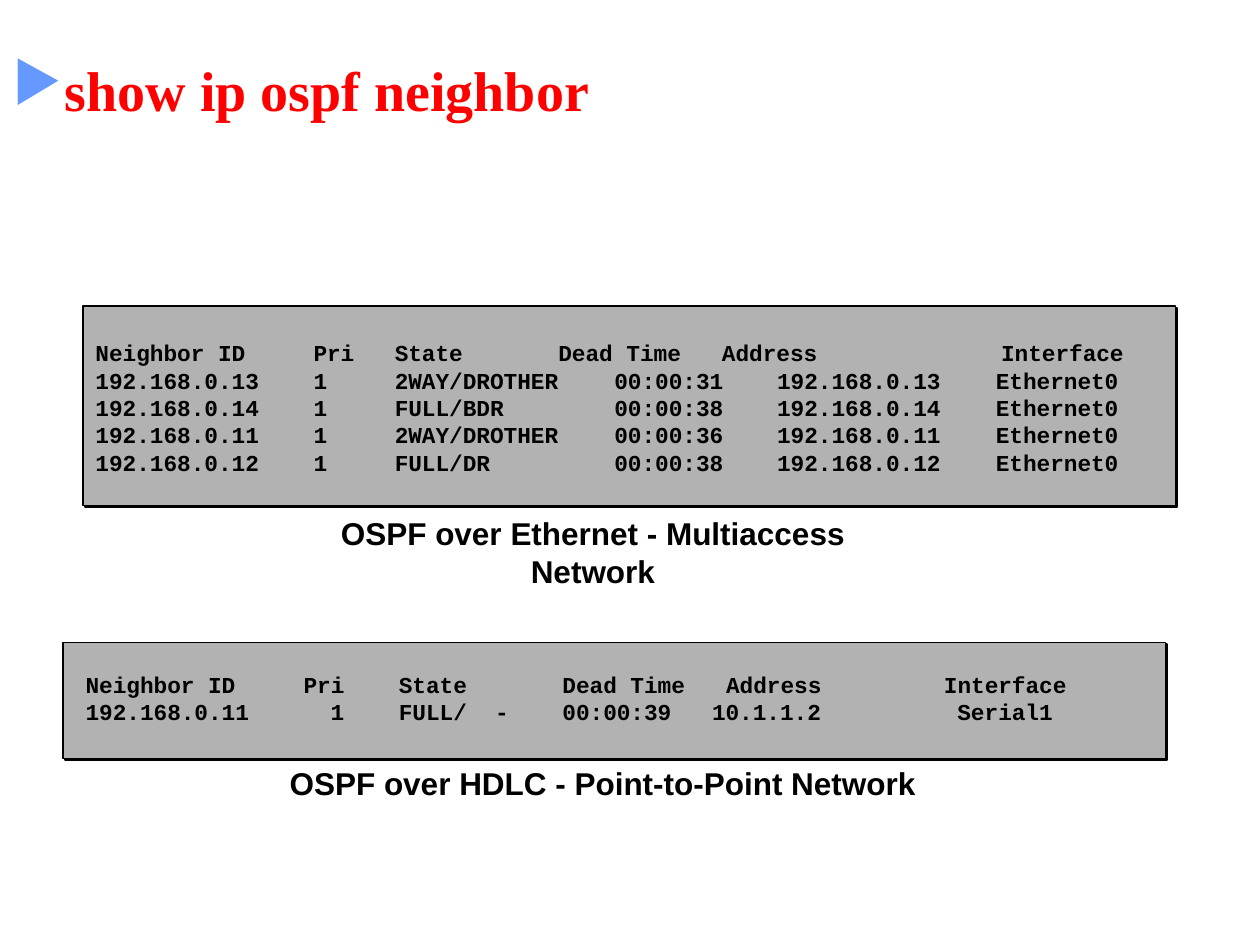
from dataclasses import dataclass

from lxml import etree
from pptx import Presentation
from pptx.dml.color import RGBColor
from pptx.enum.shapes import MSO_SHAPE
from pptx.enum.text import MSO_ANCHOR, MSO_AUTO_SIZE, PP_ALIGN
from pptx.oxml.ns import qn
from pptx.util import Pt

RECT = MSO_SHAPE.RECTANGLE
MIDDLE = MSO_ANCHOR.MIDDLE
FIXED = MSO_AUTO_SIZE.NONE
LEFT, CENTER = PP_ALIGN.LEFT, PP_ALIGN.CENTER


@dataclass(frozen=True)
class Theme:
    ink: str = "000000"
    red: str = "FF0000"
    blue: str = "6699FF"
    gray: str = "B2B2B2"
    serif: str = "Times New Roman"
    sans: str = "Arial"
    mono: str = "Courier New"
    head: int = 32
    label: int = 18
    code: int = 13


@dataclass(frozen=True)
class Box:
    left: float
    top: float
    width: float
    height: float


@dataclass(frozen=True)
class Row:
    cells: tuple[str, ...]
    stops: tuple[float, ...]  # left tab stops, one per cell after the first


@dataclass(frozen=True)
class Panel:
    frame: Box
    text: Box
    rows: tuple[Row, ...]
    label: str
    place: Box


THEME = Theme()
TITLE = dict(name=THEME.serif, size=Pt(THEME.head), bold=True)
LABEL = dict(name=THEME.sans, size=Pt(THEME.label), bold=True)
CODE = dict(name=THEME.mono, size=Pt(THEME.code), bold=True)

HEADS = ("Neighbor ID", "Pri", "State", "Dead Time", "Address", "Interface")
LAN = (124.6, 171, 296.5, 389.5, 514.5)
PEERS = (
    ("13", "2WAY/DROTHER", "31"),
    ("14", "FULL/BDR", "38"),
    ("11", "2WAY/DROTHER", "36"),
    ("12", "FULL/DR", "38"),
)


def peer(host: str, state: str, secs: str) -> Row:
    addr = f"192.168.0.{host}"
    return Row((addr, "1", state, f"00:00:{secs}", addr, "Ethernet0"), LAN)


PANELS = (
    Panel(
        Box(47.5, 175, 624.2, 113.8),
        Box(47.5, 190, 636.5, 85.7),
        (Row(HEADS, (124.6, 171, 264.5, 358, 517.5)),
         *(peer(*item) for item in PEERS)),
        "OSPF over Ethernet - Multiaccess Network",
        Box(149.8, 301, 378, 29),
    ),
    Panel(
        Box(36, 367.2, 630, 66.2),
        Box(41.8, 379.4, 610, 39),
        (Row(HEADS, (124.6, 179, 272.5, 366, 490.5)),
         Row(("192.168.0.11", "1", "FULL/", "-", "00:00:39", "10.1.1.2",
              "Serial1"), (140, 179, 234, 272.5, 358, 498.2))),
        "OSPF over HDLC - Point-to-Point Network",
        Box(158.4, 432.7, 372.2, 29),
    ),
)


def span(box: Box) -> tuple:
    return Pt(box.left), Pt(box.top), Pt(box.width), Pt(box.height)


def style(para, look: dict, color: str) -> None:
    for key, value in look.items():
        setattr(para.font, key, value)
    para.font.color.rgb = RGBColor.from_string(color)


def add_tabs(para, stops: tuple[float, ...]) -> None:
    tabs = etree.SubElement(para._p.get_or_add_pPr(), qn("a:tabLst"))
    for stop in stops:
        etree.SubElement(tabs, qn("a:tab"), pos=str(int(Pt(stop))), algn="l")


def add_title(slide, text: str) -> None:
    title = slide.shapes.title
    place = dict(zip(("left", "top", "width", "height"),
                     span(Box(0, 23.8, 720, 54))))
    for key, value in place.items():
        setattr(title, key, value)
    frame = title.text_frame
    frame.text = text
    frame.auto_size, frame.vertical_anchor = FIXED, MIDDLE
    para = frame.paragraphs[0]
    para.alignment = LEFT
    # Triangle bullet
    props = para._p.get_or_add_pPr()
    props.set("marL", "0")
    props.set("indent", "0")
    tint = etree.SubElement(props, qn("a:buClr"))
    etree.SubElement(tint, qn("a:srgbClr"), val=THEME.blue)
    etree.SubElement(props, qn("a:buChar"), char="▶")
    style(para, TITLE, THEME.red)


def add_frame(slide, box: Box) -> None:
    shape = slide.shapes.add_shape(RECT, *span(box))
    shape.fill.solid()
    shape.fill.fore_color.rgb = RGBColor.from_string(THEME.gray)
    shape.line.color.rgb = RGBColor.from_string(THEME.ink)
    shape.line.width = Pt(1)
    # Hard shadow, down and to the right
    shape.shadow.inherit = False
    effects = shape._element.spPr.find(qn("a:effectLst"))
    shade = etree.SubElement(effects, qn("a:outerShdw"), blurRad="0",
                             dist=str(int(Pt(1.4))), dir="2700000",
                             algn="ctr", rotWithShape="0")
    etree.SubElement(shade, qn("a:srgbClr"), val=THEME.ink)


def add_text(slide, box: Box, rows: tuple[Row, ...], look: dict,
             align=LEFT) -> None:
    frame = slide.shapes.add_textbox(*span(box)).text_frame
    frame.word_wrap, frame.vertical_anchor = True, MIDDLE
    for num, row in enumerate(rows):
        para = frame.add_paragraph() if num else frame.paragraphs[0]
        para.text = "\t".join(row.cells)
        para.alignment = align
        if row.stops:
            add_tabs(para, row.stops)
        style(para, look, THEME.ink)


def main() -> None:
    deck = Presentation()
    deck.slide_width, deck.slide_height = Pt(720), Pt(540)
    slide = deck.slides.add_slide(deck.slide_layouts[5])
    add_title(slide, "show ip ospf neighbor")
    # Command output with its caption
    for panel in PANELS:
        add_frame(slide, panel.frame)
        add_text(slide, panel.text, panel.rows, CODE)
        add_text(slide, panel.place, (Row((panel.label,), ()),), LABEL, CENTER)
    deck.save("out.pptx")


if __name__ == "__main__":
    main()
